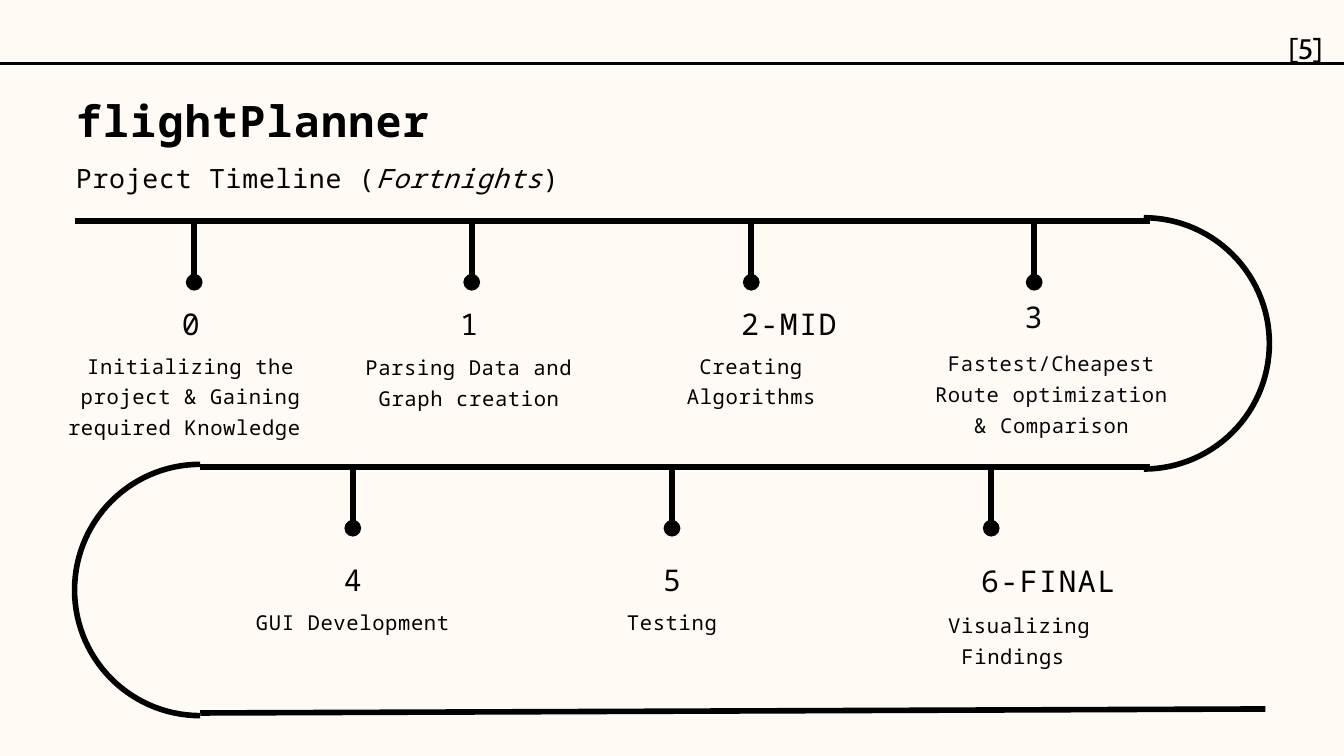
from math import cos, sin, radians
from lxml import etree
from pptx import Presentation
from pptx.dml.color import RGBColor as RGB
from pptx.enum.shapes import MSO_CONNECTOR as Conn
from pptx.enum.text import MSO_AUTO_SIZE as Auto, PP_ALIGN as Align
from pptx.oxml.ns import qn
from pptx.util import Inches, Pt

HUES = {"paper": "FFFAF3", "black": "000000", "ink": "05070D"}
MONO = "Noto Sans Mono"


def add_line(x1, y1, x2, y2, width=6, dot=False):
    line = slide.shapes.add_connector(
        Conn.STRAIGHT, Inches(x1), Inches(y1), Inches(x2), Inches(y2))
    line.line.color.rgb = RGB.from_string(HUES["black"])
    line.line.width = Pt(width)
    if dot:
        etree.SubElement(line.line._get_or_add_ln(), qn("a:tailEnd"), type="oval")
    etree.SubElement(line._element.spPr, qn("a:effectLst"))


def add_text(box, parts, size, lead, gap=0, hue="black", font=MONO,
             align=Align.CENTER):
    frame = slide.shapes.add_textbox(*[Inches(n) for n in box]).text_frame
    frame.margin_left = frame.margin_right = 0
    frame.margin_top = frame.margin_bottom = 0
    frame.word_wrap = True
    frame.auto_size = Auto.SHAPE_TO_FIT_TEXT
    para = frame.paragraphs[0]
    para.text = parts[0]
    for part in parts[1:]:
        para.add_run().text = part
    para.alignment = align
    para.line_spacing = Pt(lead)
    for run in para.runs:
        run.font.name = font
        run.font.size = Pt(size)
        run.font.color.rgb = RGB.from_string(HUES[hue])
        if gap:
            run.font._element.set("spc", str(gap))
    return para.runs


deck = Presentation()
deck.slide_width, deck.slide_height = Inches(20), Inches(11.25)
slide = deck.slides.add_slide(deck.slide_layouts[6])
slide.background.fill.solid()
slide.background.fill.fore_color.rgb = RGB.from_string(HUES["paper"])

top, mid = 3.29, 6.95
add_line(1.12, top, 17.11, top)
add_line(2.98, mid, 17.11, mid)
add_line(2.98, 10.61, 18.83, 10.55)

radius = 1.87
for x, y, side in [(17.02, 5.11, 1), (2.98, 8.78, -1)]:
    spots = [(Inches(x + side * radius * cos(radians(turn))),
              Inches(y + radius * sin(radians(turn))))
             for turn in range(-90, 91, 3)]
    bend = slide.shapes.build_freeform(*spots[0])
    bend.add_line_segments(spots[1:], close=False)
    curve = bend.convert_to_shape()
    curve.shadow.inherit = False
    curve.fill.background()
    curve.line.color.rgb = RGB.from_string(HUES["black"])
    curve.line.width = Pt(6)

steps = [
    (2.89, top, "0", 2.84, 4.5, "Initializing the project & Gaining required Knowledge ",
     2.84, 5.17, 3.91, 1.31, "black"),
    (7.02, top, "1", 6.98, 4.51, "Parsing Data and Graph creation",
     6.98, 5.19, 3.44, 0.85, "black"),
    (11.18, top, "2-MID", 11.74, 4.5, "Creating Algorithms",
     11.18, 5.17, 3.59, 0.87, "black"),
    (15.39, top, "3", 15.38, 4.4, "Fastest/Cheapest Route optimization & Comparison",
     15.65, 5.13, 3.73, 1.31, "ink"),
    (5.25, mid, "4", 5.25, 8.31, "GUI Development",
     5.25, 8.99, 3.44, 0.4, "black"),
    (10, mid, "5", 10, 8.31, "Testing",
     10, 8.99, 3.44, 0.4, "black"),
    (14.75, mid, "6-FINAL", 15.6, 8.33, "Visualizing Findings ",
     15.17, 9.03, 3.44, 0.87, "black"),
]
for pin, rail, mark, mark_x, mark_y, task, x, y, wide, high, hue in steps:
    add_line(pin, rail, pin, rail + 0.91, dot=True)
    add_text((mark_x - 1.72, mark_y, 3.44, 0.56), [mark], 32, 41.6, 160, hue)
    add_text((x - wide / 2, y, wide, high), [task], 22, 33, 70, hue)

title = add_text((1.13, 1.34, 17.27, 0.8), ["flightPlanner"],
                 46.4, 60.3, 140, align=Align.LEFT)
title[0].font.bold = True
lead_in = add_text((1.13, 2.3, 17.27, 0.54),
                   ["Project Timeline (", "Fortnights", ")"],
                   28.4, 42.5, 80, align=Align.LEFT)
lead_in[1].font.italic = True

add_line(0, 0.94, 20, 0.94, 3)
add_text((19.16, 0.38, 0.54, 0.56), ["[5]"], 30.2, 42.3, font="Cabin")

deck.save("out.pptx")
